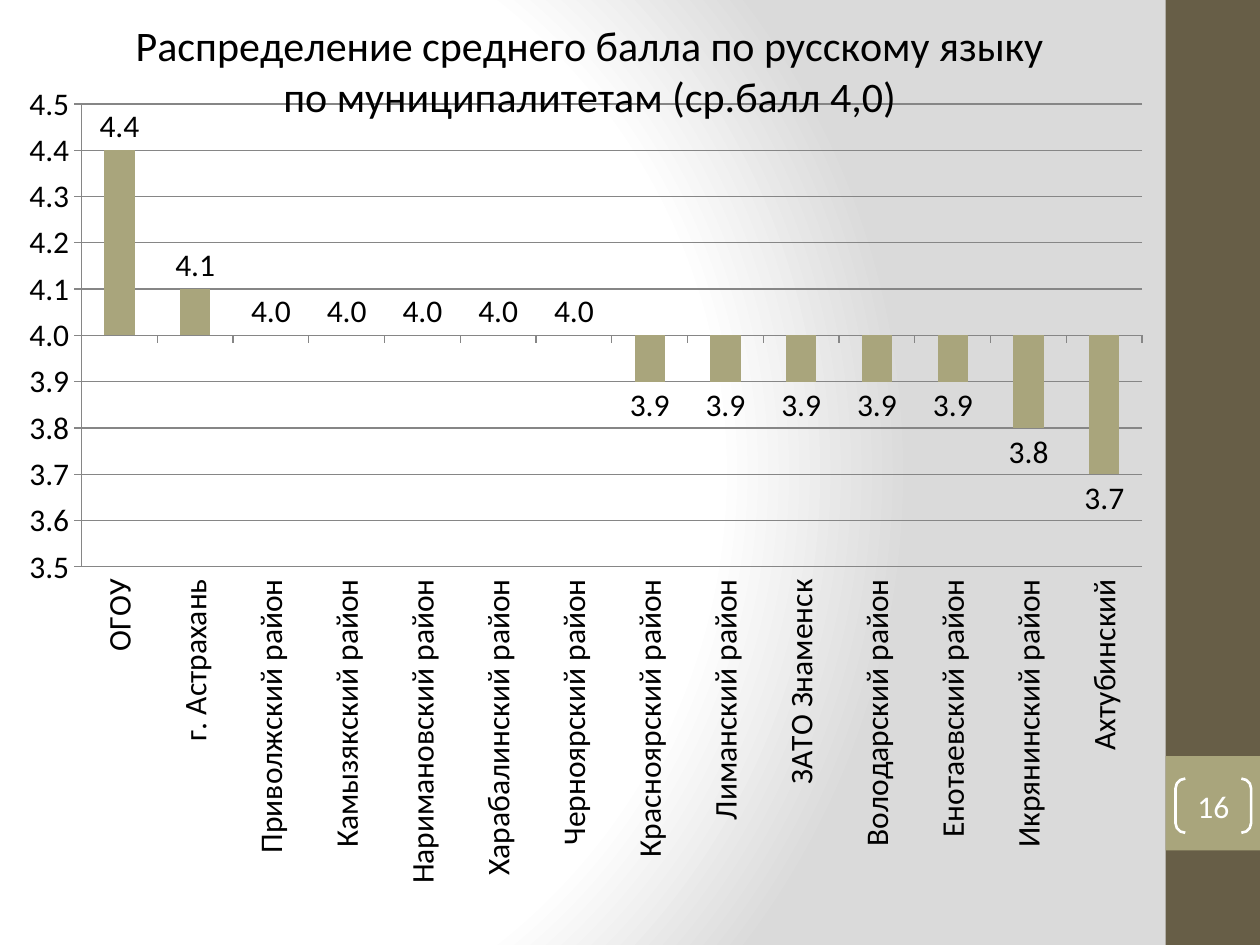
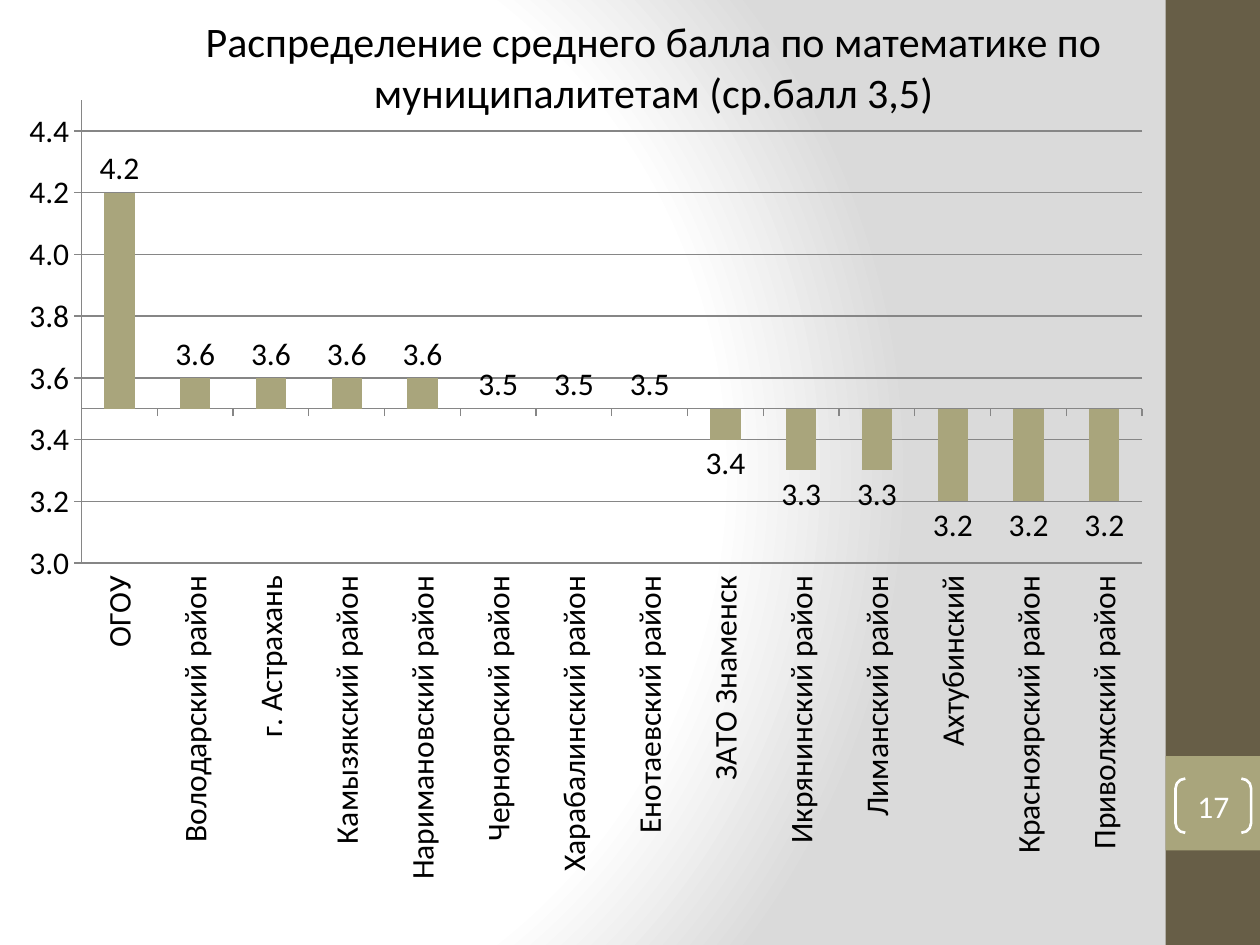
from lxml.etree import SubElement
from pptx import Presentation
from pptx.chart.data import CategoryChartData
from pptx.dml.color import RGBColor
from pptx.enum.chart import (XL_CHART_TYPE, XL_LABEL_POSITION, XL_TICK_LABEL_POSITION,
                             XL_TICK_MARK)
from pptx.enum.shapes import MSO_SHAPE
from pptx.enum.text import MSO_ANCHOR, PP_ALIGN
from pptx.oxml import parse_xml
from pptx.oxml.ns import nsdecls, qn
from pptx.util import Inches, Pt

BROWN = RGBColor(0x67, 0x5E, 0x47)
OLIVE = RGBColor(0xA9, 0xA5, 0x7C)
GREY = RGBColor(0x86, 0x86, 0x86)
WHITE = RGBColor(0xFF, 0xFF, 0xFF)
BLACK = RGBColor(0, 0, 0)
FONT = "Calibri"

# Grid: ten rows down the slide, the band is one row height wide
W, H = Inches(10), Inches(7.5)
ROW = H // 10
BAND_LEFT = W - ROW

CHARTS = [
    dict(number=16, title="Распределение среднего балла по русскому языку "
                          "по муниципалитетам (ср.балл 4,0)",
         title_x=0.11, top=0, low=3.5, high=4.5, step=0.1, mean=4.0,
         scores=[("ОГОУ", 4.4), ("г. Астрахань", 4.1), ("Приволжский район", 4.0),
                 ("Камызякский район", 4.0), ("Наримановский район", 4.0),
                 ("Харабалинский район", 4.0), ("Черноярский район", 4.0),
                 ("Красноярский район", 3.9), ("Лиманский район", 3.9),
                 ("ЗАТО Знаменск", 3.9), ("Володарский район", 3.9),
                 ("Енотаевский район", 3.9), ("Икрянинский район", 3.8),
                 ("Ахтубинский", 3.7)]),
    dict(number=17, title="Распределение среднего балла по математике по "
                          "муниципалитетам (ср.балл 3,5)",
         title_x=0.17, top=Inches(-0.03), low=3.0, high=4.5, step=0.2, mean=3.5,
         scores=[("ОГОУ", 4.2), ("Володарский район", 3.6), ("г. Астрахань", 3.6),
                 ("Камызякский район", 3.6), ("Наримановский район", 3.6),
                 ("Черноярский район", 3.5), ("Харабалинский район", 3.5),
                 ("Енотаевский район", 3.5), ("ЗАТО Знаменск", 3.4),
                 ("Икрянинский район", 3.3), ("Лиманский район", 3.3),
                 ("Ахтубинский", 3.2), ("Красноярский район", 3.2),
                 ("Приволжский район", 3.2)]),
]


def write(tf, text, size=18, color=BLACK, align=PP_ALIGN.CENTER):
    p = tf.paragraphs[0]
    p.alignment = align
    r = p.add_run()
    r.text = text
    r.font.size, r.font.name, r.font.bold = Pt(size), FONT, False
    r.font.color.rgb = color


def set_layout(parent, index, **settings):
    """Place a chart part by shares of the chart's size."""
    for old in parent.findall(qn("c:layout")):
        parent.remove(old)
    layout = parse_xml(f"<c:layout {nsdecls('c')}/>")
    manual = SubElement(layout, qn("c:manualLayout"))
    for tag, value in settings.items():
        SubElement(manual, qn(f"c:{tag}")).set("val", str(value))
    parent.insert(index, layout)


prs = Presentation()
prs.slide_width, prs.slide_height = W, H

# Shared background: radial gradient on the master
master = prs.slide_master
master.background.fill.solid()
bg = master.element.find(".//" + qn("p:bgPr"))
stops = "".join(f'<a:gs pos="{pos}000"><a:srgbClr val="{color}"/></a:gs>'
                for pos, color in [(0, WHITE), (75, WHITE), (100, "DADADA")])
bg.replace(bg[0], parse_xml(
    f'<a:gradFill {nsdecls("a")} rotWithShape="1"><a:gsLst>{stops}</a:gsLst>'
    '<a:path path="circle"><a:fillToRect l="20000" t="50000" r="100000" b="50000"/>'
    '</a:path></a:gradFill>'))

for info in CHARTS:
    s = prs.slides.add_slide(prs.slide_layouts[6])

    # Side band and number box
    for top, height, color in [(0, H, BROWN), (8 * ROW, ROW, OLIVE)]:
        sp = s.shapes.add_shape(MSO_SHAPE.RECTANGLE, BAND_LEFT, top, ROW, height)
        sp.shadow.inherit = False
        sp.fill.solid()
        sp.fill.fore_color.rgb = color
        sp.line.fill.background()

    # Chart
    data = CategoryChartData(number_format="0.0")
    data.categories = [name for name, score in info["scores"]]
    data.add_series("Series 1", [score for name, score in info["scores"]])
    chart = s.shapes.add_chart(XL_CHART_TYPE.COLUMN_CLUSTERED, 0, info["top"],
                               BAND_LEFT, H, data).chart
    chart.font.size, chart.font.name = Pt(18), FONT
    chart.font.color.rgb = BLACK
    chart.has_legend = False
    chart.has_title = True
    title = chart.chart_title
    write(title.text_frame, info["title"], size=24)
    title.include_in_layout = False
    set_layout(title._element, 1, xMode="edge", yMode="edge", x=info["title_x"], y=0.01)
    plot_area = chart._chartSpace.find(".//" + qn("c:plotArea"))
    set_layout(plot_area, 0, layoutTarget="inner", xMode="edge", yMode="edge",
               x=0.07, y=0.11, w=0.91, h=0.49)

    # Columns and labels
    plot = chart.plots[0]
    plot.gap_width = 150
    plot.vary_by_categories = False
    columns = plot.series[0]
    columns.invert_if_negative = False
    columns.format.fill.solid()
    columns.format.fill.fore_color.rgb = OLIVE
    plot.has_data_labels = True
    labels = plot.data_labels
    labels.show_value = True
    labels.number_format, labels.number_format_is_linked = "0.0", False
    labels.position = XL_LABEL_POSITION.OUTSIDE_END

    # Axes: columns start from the mean score
    cat_axis, val_axis = chart.category_axis, chart.value_axis
    val_axis.minimum_scale, val_axis.maximum_scale = info["low"], info["high"]
    val_axis.major_unit = info["step"]
    val_axis.crosses_at = info["mean"]
    val_axis.has_major_gridlines = True
    val_axis.tick_labels.number_format = "0.0"
    val_axis.tick_labels.number_format_is_linked = False
    cat_axis.tick_label_position = XL_TICK_LABEL_POSITION.LOW
    cat_axis.tick_labels.font.size = Pt(18)
    cat_axis._element.find(".//" + qn("a:bodyPr")).set("rot", "-5400000")
    for axis in (cat_axis, val_axis):
        axis.major_tick_mark = XL_TICK_MARK.OUTSIDE
    for part in (cat_axis, val_axis, val_axis.major_gridlines):
        part.format.line.color.rgb = GREY
        part.format.line.width = Pt(0.75)

    # Slide number in brackets
    sp = s.shapes.add_shape(MSO_SHAPE.DOUBLE_BRACKET, BAND_LEFT + Inches(0.08),
                            8 * ROW + Inches(0.18), Inches(0.6), Inches(0.43))
    sp.shadow.inherit = False
    sp.adjustments[0] = 0.18
    sp.fill.background()
    sp.line.color.rgb, sp.line.width = WHITE, Pt(1.5)
    tf = sp.text_frame
    tf.margin_left = tf.margin_right = tf.margin_top = tf.margin_bottom = 0
    tf.vertical_anchor = MSO_ANCHOR.MIDDLE
    write(tf, str(info["number"]), color=WHITE)

prs.save("out.pptx")
